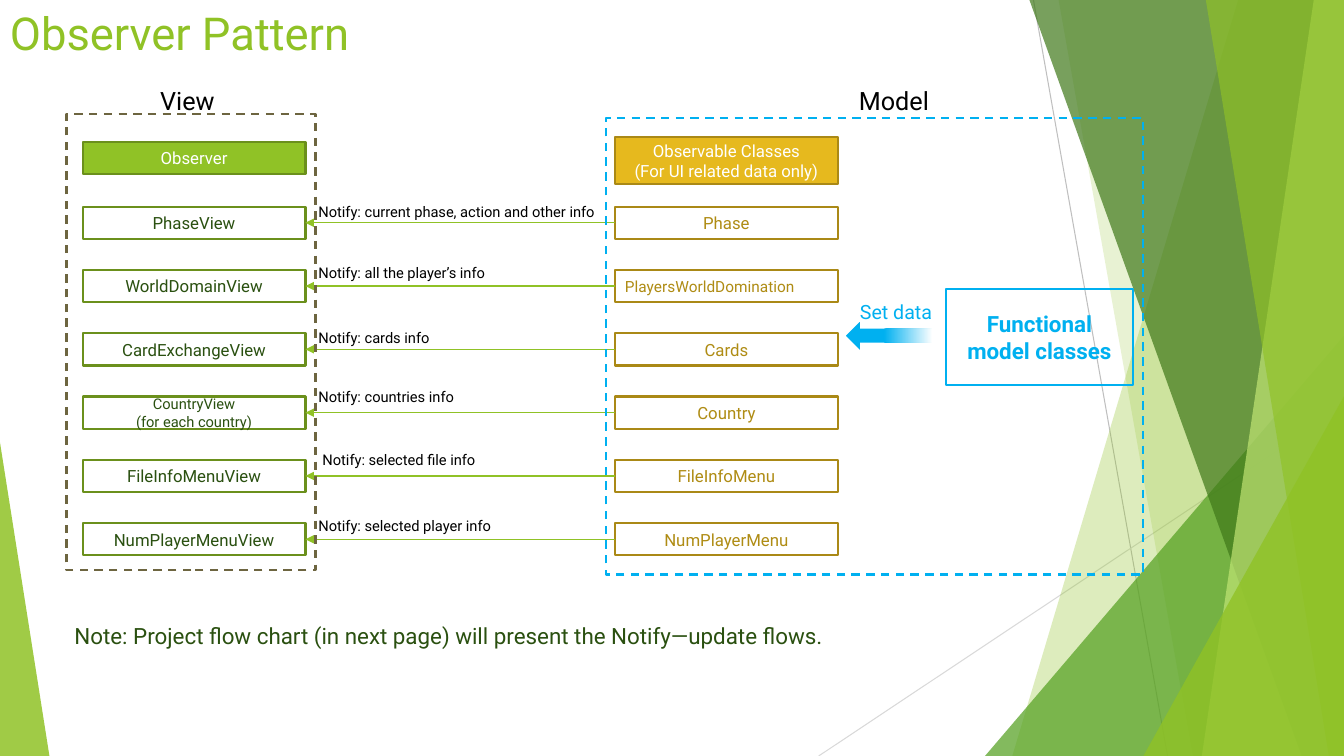
import pptx
import pptx.util
import pptx.dml.color
import pptx.enum.dml
import pptx.enum.shapes
import pptx.enum.text
import pptx.oxml.ns
import pptx.oxml.xmlchemy

Inches = pptx.util.Inches
Pt = pptx.util.Pt
RGB = pptx.dml.color.RGBColor
Shape = pptx.enum.shapes.MSO_SHAPE
Align = pptx.enum.text.PP_ALIGN
Anchor = pptx.enum.text.MSO_ANCHOR
Node = pptx.oxml.xmlchemy.OxmlElement

LIME = RGB(0x90, 0xC2, 0x26)
LEAF = RGB(0x54, 0xA0, 0x21)
FOREST = RGB(0x3F, 0x78, 0x19)
PALE = RGB(0xC0, 0xE4, 0x74)
OLIVE = RGB(0x6B, 0x90, 0x1C)
DARK = RGB(0x2A, 0x50, 0x10)
GOLD = RGB(0xE6, 0xB9, 0x1E)
BRONZE = RGB(0xAA, 0x89, 0x16)
AMBER = RGB(0xAF, 0x8C, 0x14)
BROWN = RGB(0x6D, 0x65, 0x40)
SKY = RGB(0x00, 0xB0, 0xF0)
WHITE = RGB(0xFF, 0xFF, 0xFF)
BLACK = RGB(0, 0, 0)
GRAY = RGB(0xBF, 0xBF, 0xBF)
SILVER = RGB(0xD9, 0xD9, 0xD9)

WIDTH, HEIGHT = 13.33, 7.5
BAR = 0.32
STEP = (5.19 - 2.05) / 5

ROWS = [
    ("PhaseView", "Phase", "Notify: current phase, action and other info", 3.06, 1.96, 3.11),
    ("WorldDomainView", "PlayersWorldDomination", "Notify: all the player’s info", 3.06, 2.57, 2),
    ("CardExchangeView", "Cards", "Notify: cards info", 3.06, 3.21, 1.35),
    ("CountryView\n(for each country)", "Country", "Notify: countries info", 3.06, 3.8, 1.61),
    ("FileInfoMenuView", "FileInfoMenu", "Notify: selected file info", 3.1, 4.42, 1.82),
    ("NumPlayerMenuView", "NumPlayerMenu", "Notify: selected player info", 3.06, 5.08, 2.02),
]


def write(frame, text, size=12, color=BLACK, bold=False, align=Align.LEFT, anchor=Anchor.TOP, wrap=True):
    """Fill a text frame, one paragraph per line of text."""
    frame.word_wrap = wrap
    frame.vertical_anchor = anchor
    frame.text = text
    for para in frame.paragraphs:
        para.alignment = align
        font = para.runs[0].font
        font.name, font.size, font.bold = "Roboto", Pt(size), bold
        font.color.rgb = color


def label(slide, box, text, **style):
    """Add a text box."""
    item = slide.shapes.add_textbox(*map(Inches, box))
    write(item.text_frame, text, **style)
    item.text_frame.auto_size = pptx.enum.text.MSO_AUTO_SIZE.SHAPE_TO_FIT_TEXT


def panel(slide, box, line, fill=None, dash=False, text=None, **style):
    """Add an outlined rectangle, with centred text if given."""
    item = slide.shapes.add_shape(Shape.RECTANGLE, *map(Inches, box))
    item.shadow.inherit = False
    item.line.color.rgb, item.line.width = line, Pt(1.5)
    if dash:
        item.line.dash_style = pptx.enum.dml.MSO_LINE.DASH
    if fill is None:
        item.fill.background()
    else:
        item.fill.solid()
        item.fill.fore_color.rgb = fill
    if text:
        write(item.text_frame, text, **{"align": Align.CENTER, "anchor": Anchor.MIDDLE, **style})


def stroke(slide, start, end, color, width, arrow=False):
    """Draw a straight line, with an arrowhead at its end if asked."""
    item = slide.shapes.add_connector(
        pptx.enum.shapes.MSO_CONNECTOR.STRAIGHT, *map(Inches, (*start, *end)))
    item.line.color.rgb, item.line.width = color, Pt(width)
    props = item.element.spPr
    if arrow:
        tail = Node("a:tailEnd")
        tail.set("type", "triangle")
        props.find(pptx.oxml.ns.qn("a:ln")).append(tail)
    props.append(Node("a:effectLst"))


def tint(item, color, alpha):
    """Give a shape a see-through fill and no line."""
    item.shadow.inherit = False
    item.line.fill.background()
    item.fill.solid()
    item.fill.fore_color.rgb = color
    clear = Node("a:alpha")
    clear.set("val", str(alpha * 1000))
    item.element.spPr.find(".//" + pptx.oxml.ns.qn("a:srgbClr")).append(clear)


def facet(slide, top, base, color, alpha):
    """Draw a band from a slanted edge to the right side of the slide."""
    edge = [(top, 0), (WIDTH, 0), (WIDTH, HEIGHT), (base, HEIGHT)]
    spots = [(Inches(x), Inches(y)) for x, y in edge]
    pen = slide.shapes.build_freeform(*spots[0], scale=1.0)
    pen.add_line_segments(spots[1:], close=True)
    tint(pen.convert_to_shape(), color, alpha)


def wedge(slide, box, peak, color, alpha):
    """Draw a triangle with its tip at the given share of its width."""
    item = slide.shapes.add_shape(Shape.ISOSCELES_TRIANGLE, *map(Inches, box))
    item.adjustments[0] = peak
    tint(item, color, alpha)


def backdrop(slide):
    """Draw the green facets at both sides."""
    stroke(slide, (10.25, 0), (11.58, HEIGHT), GRAY, 0.75)
    stroke(slide, (WIDTH, 4.03), (8.12, HEIGHT), SILVER, 0.75)
    facet(slide, 12.28, 10.04, LIME, 30)
    facet(slide, 10.5, 11.83, LIME, 20)
    wedge(slide, (9.77, 3.33, 3.56, 4.17), 1, LEAF, 72)
    facet(slide, 10.21, 12.91, FOREST, 70)
    facet(slide, 13.03, 11.92, PALE, 70)
    facet(slide, 11.96, 13.18, LIME, 65)
    wedge(slide, (11.34, 3.93, 1.99, 3.57), 1, LIME, 80)
    wedge(slide, (0, 4.39, 0.49, 3.11), 0, LIME, 85)


def pairs(slide, left, top, width, right):
    """Draw the rows that link each model class to its view."""
    for i, (view, model, note, x, y, span) in enumerate(ROWS):
        row = top + i * STEP
        mid = row + BAR / 2
        panel(slide, (left, row, width, BAR), OLIVE, text=view,
              size=10.5 if "\n" in view else 12, color=DARK)
        tight = model == "PlayersWorldDomination"
        panel(slide, (right, row, width, BAR), BRONZE, text=model, color=AMBER,
              size=11 if tight else 12, align=Align.LEFT if tight else Align.CENTER)
        stroke(slide, (right, mid), (left + width, mid), LIME, 1, arrow=True)
        label(slide, (x, y, span, 0.28), note, size=10.5, wrap=False)


def viewer(slide, left, top, width, height):
    """Draw the frame, name and head of the view side."""
    panel(slide, (left, top, width, height), BROWN, dash=True)
    panel(slide, (left + 0.16, top + 0.28, 2.21, BAR), OLIVE, LIME, text="Observer", color=WHITE)
    label(slide, (left + 0.83, top - 0.33, 0.91, 0.4), "View", size=18)


def source(slide, left, top, width, height):
    """Draw the frame, name, head and data flow of the model side."""
    panel(slide, (left, top, width, height), SKY, dash=True)
    panel(slide, (left + 0.09, top + 0.19, 2.21, 0.47), BRONZE, GOLD,
          text="Observable Classes\n(For UI related data only)", color=WHITE)
    label(slide, (left + 2.41, top - 0.37, 1.22, 0.4), "Model", size=18)
    panel(slide, (left + 3.37, top + 1.7, 1.86, 0.95), SKY,
          text="Functional model classes", size=16, color=SKY, bold=True)
    spot = (left + 2.38, top + 2.02, 0.86, 0.28)
    arrow = slide.shapes.add_shape(Shape.LEFT_ARROW, *map(Inches, spot))
    arrow.shadow.inherit = False
    arrow.line.fill.background()
    arrow.fill.gradient()
    arrow.fill.gradient_angle = 0
    for stop, place, color in zip(arrow.fill.gradient_stops, (0.44, 1), (SKY, WHITE)):
        stop.position, stop.color.rgb = place, color
    label(slide, (left + 2.42, top + 1.76, 1.12, 0.34), "Set data", size=14, color=SKY)


def main():
    """Build the slide and save it."""
    deck = pptx.Presentation()
    deck.slide_width, deck.slide_height = Inches(WIDTH), Inches(HEIGHT)
    slide = deck.slides.add_slide(deck.slide_layouts[6])
    backdrop(slide)
    label(slide, (0, 0, 9.4, 0.65), "Observer Pattern", size=32.4, color=LIME)
    pairs(slide, 0.82, 2.05, 2.21, 6.1)
    viewer(slide, 0.66, 1.13, 2.47, 4.53)
    source(slide, 6.01, 1.17, 5.33, 4.53)
    label(slide, (0.64, 6.12, 8.03, 0.37), size=16, color=DARK, wrap=False,
          text="Note: Project flow chart (in next page) will present the Notify—update flows.")
    deck.save("out.pptx")


if __name__ == "__main__":
    main()
